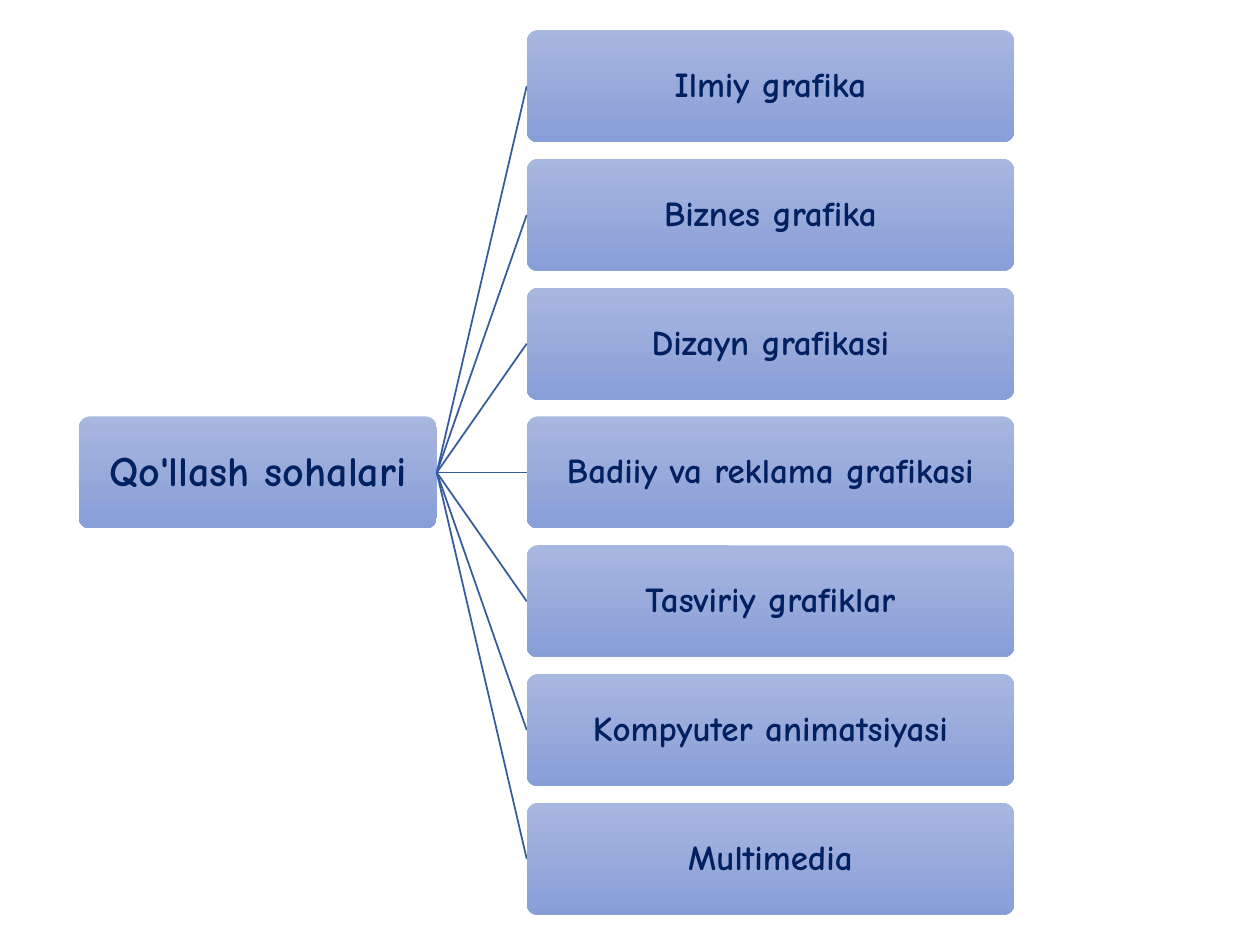
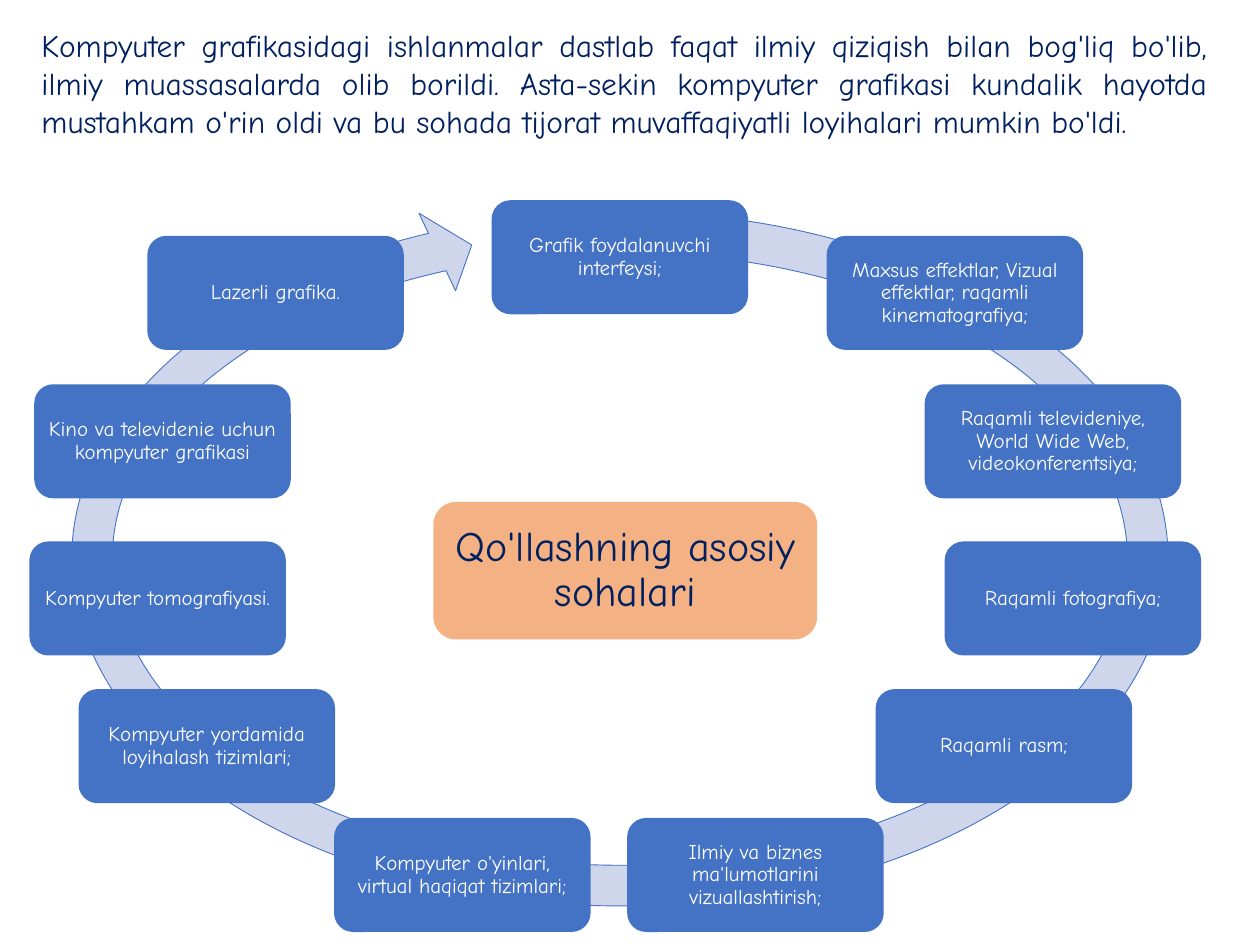
from lxml.etree import SubElement
from pptx import Presentation
from pptx.dml.color import RGBColor
from pptx.enum.shapes import MSO_CONNECTOR, MSO_SHAPE
from pptx.enum.text import MSO_ANCHOR, MSO_AUTO_SIZE, PP_ALIGN
from pptx.oxml.ns import qn
from pptx.util import Pt

FONT = "Comic Neue"
COLORS = {
    "navy": "002060",
    "white": "FFFFFF",
    "blue": "4472C4",
    "ring": "CFD5EA",
    "link": "365B9D",
    "orange": "F4B183",
    "card_top": "A8B7DF",
    "card_bottom": "889ED7",
}

BRANCHES = [
    "Ilmiy grafika",
    "Biznes grafika",
    "Dizayn grafikasi",
    "Badiiy va reklama grafikasi",
    "Tasviriy grafiklar",
    "Kompyuter animatsiyasi",
    "Multimedia",
]
CARD_HEIGHT = 64
BRANCH_LEFT, BRANCH_TOP, BRANCH_WIDTH, BRANCH_PITCH = 301, 17.2, 278.6, 73.6
ROOT_LEFT, ROOT_WIDTH = 45, 204.6

INTRO = (
    "Kompyuter grafikasidagi ishlanmalar dastlab faqat ilmiy qiziqish bilan "
    "bog'liq bo'lib, ilmiy muassasalarda olib borildi. Asta-sekin kompyuter "
    "grafikasi kundalik hayotda mustahkam o'rin oldi va bu sohada tijorat "
    "muvaffaqiyatli loyihalari mumkin bo'ldi."
)
FIELD_SIZE = (146.6, 65.2)
FIELDS = [
    (280.9, 114.4, "Grafik foydalanuvchi interfeysi;"),
    (472.4, 134.8, "Maxsus effektlar, Vizual effektlar, raqamli kinematografiya;"),
    (528.4, 219.6, "Raqamli televideniye, World Wide Web, videokonferentsiya;"),
    (539.8, 309.4, "Raqamli fotografiya;"),
    (500.4, 393.8, "Raqamli rasm;"),
    (358.4, 467.4, "Ilmiy va biznes ma'lumotlarini vizuallashtirish;"),
    (190.9, 467.4, "Kompyuter o'yinlari, virtual haqiqat tizimlari;"),
    (44.9, 393.8, "Kompyuter yordamida loyihalash tizimlari;"),
    (16.8, 309.4, "Kompyuter tomografiyasi."),
    (19.6, 219.6, "Kino va televidenie uchun kompyuter grafikasi"),
    (84.2, 134.8, "Lazerli grafika."),
]


def color(name):
    """Return the named palette colour."""
    return RGBColor.from_string(COLORS[name])


def write(frame, text, size, ink, align=PP_ALIGN.CENTER, bold=False):
    """Put one styled paragraph into a text frame."""
    frame.text = text
    frame.word_wrap = True
    paragraph = frame.paragraphs[0]
    paragraph.alignment = align
    font = paragraph.runs[0].font
    font.name, font.size, font.bold = FONT, Pt(size), bold
    font.color.rgb = color(ink)


def add_plain_shape(slide, kind, box, fill=None):
    """Add a preset shape without shadow or outline."""
    shape = slide.shapes.add_shape(kind, *map(Pt, box))
    shape.shadow.inherit = False
    shape.line.fill.background()
    if fill:
        shape.fill.solid()
        shape.fill.fore_color.rgb = color(fill)
    return shape


def add_label_box(slide, box, text, size, ink, inset, fill=None, bold=False):
    """Add a rounded box with a centred label."""
    label_box = add_plain_shape(slide, MSO_SHAPE.ROUNDED_RECTANGLE, box, fill)
    frame = label_box.text_frame
    write(frame, text, size, ink, bold=bold)
    frame.vertical_anchor = MSO_ANCHOR.MIDDLE
    frame.margin_left = frame.margin_right = Pt(inset)
    frame.margin_top = frame.margin_bottom = Pt(inset)
    frame.paragraphs[0].line_spacing = 0.9
    return label_box


def add_gradient_card(slide, box, text, size):
    """Add a tree card shaded from top to bottom."""
    card = add_label_box(slide, box, text, size, "navy", 1, bold=True)
    card.adjustments[0] = 0.1
    card.fill.gradient()
    card.fill.gradient_angle = 270
    for stop, name in zip(card.fill.gradient_stops, ("card_top", "card_bottom")):
        stop.color.rgb = color(name)


def add_link(slide, start, end):
    """Draw a thin straight line between two points."""
    link = slide.shapes.add_connector(MSO_CONNECTOR.STRAIGHT, *map(Pt, start + end))
    link.line.color.rgb = color("link")
    link.line.width = Pt(1)
    SubElement(link.element.spPr, qn("a:effectLst"))


def add_cycle_arrow(slide, box):
    """Add the circular arrow behind the fields."""
    cycle = add_plain_shape(slide, MSO_SHAPE.CIRCULAR_ARROW, box, "ring")
    for index, value in enumerate((0.055, 3.307, 143.536, 170.435, 0.058)):
        cycle.adjustments[index] = value
    cycle.line.color.rgb = color("blue")
    cycle.line.width = Pt(0.5)


def add_intro(slide, box, text):
    """Add the justified opening paragraph."""
    intro = slide.shapes.add_textbox(*map(Pt, box))
    write(intro.text_frame, text, 18, "navy", PP_ALIGN.JUSTIFY)
    intro.text_frame.auto_size = MSO_AUTO_SIZE.SHAPE_TO_FIT_TEXT


def build_tree(slide):
    """Build the tree of application areas."""
    root_top = BRANCH_TOP + len(BRANCHES) // 2 * BRANCH_PITCH
    root_box = (ROOT_LEFT, root_top, ROOT_WIDTH, CARD_HEIGHT)
    add_gradient_card(slide, root_box, "Qo'llash sohalari", 24)
    fork = (ROOT_LEFT + ROOT_WIDTH, root_top + CARD_HEIGHT / 2)
    for row, area in enumerate(BRANCHES):
        top = BRANCH_TOP + row * BRANCH_PITCH
        add_link(slide, fork, (BRANCH_LEFT, top + CARD_HEIGHT / 2))
        add_gradient_card(slide, (BRANCH_LEFT, top, BRANCH_WIDTH, CARD_HEIGHT), area, 20)


def build_cycle(slide):
    """Build the cycle of main fields around its heading."""
    add_intro(slide, (16.6, 11.5, 680.4, 94.3), INTRO)
    add_cycle_arrow(slide, (28.1, 108, 652.3, 422.6))
    for left, top, field in FIELDS:
        add_label_box(slide, (left, top, *FIELD_SIZE), field, 12, "white", 3.6, "blue")
    hub_box = (247.6, 286.8, 219.4, 78.6)
    add_label_box(slide, hub_box, "Qo'llashning asosiy sohalari", 24, "navy", 3.6, "orange")


def main():
    """Create and save the two slides."""
    deck = Presentation()
    deck.slide_width, deck.slide_height = Pt(720), Pt(540)
    for build in (build_tree, build_cycle):
        build(deck.slides.add_slide(deck.slide_layouts[6]))
    deck.save("out.pptx")


if __name__ == "__main__":
    main()
